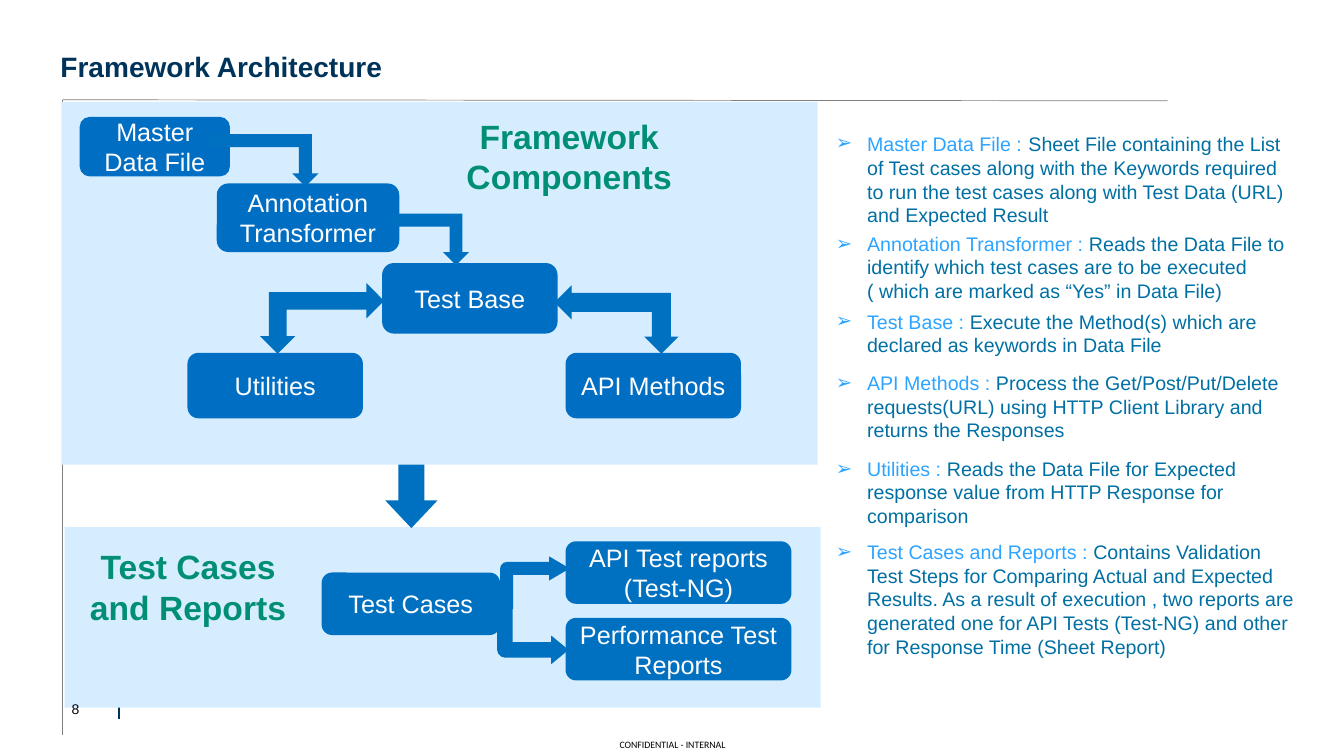
from lxml import etree
from pptx import Presentation
from pptx.dml.color import RGBColor
from pptx.enum.shapes import MSO_CONNECTOR, MSO_SHAPE
from pptx.enum.text import MSO_ANCHOR, MSO_AUTO_SIZE, PP_ALIGN
from pptx.oxml.ns import qn
from pptx.util import Inches, Pt

RECT, ROUNDED = MSO_SHAPE.RECTANGLE, MSO_SHAPE.ROUNDED_RECTANGLE
BENT_UP, LEFT_UP = MSO_SHAPE.BENT_UP_ARROW, MSO_SHAPE.LEFT_UP_ARROW
BENT, DOWN = MSO_SHAPE.BENT_ARROW, MSO_SHAPE.DOWN_ARROW
STRAIGHT = MSO_CONNECTOR.STRAIGHT
LEFT, CENTER = PP_ALIGN.LEFT, PP_ALIGN.CENTER
TOP, MIDDLE, BOTTOM = MSO_ANCHOR.TOP, MSO_ANCHOR.MIDDLE, MSO_ANCHOR.BOTTOM
GROW, FIXED = MSO_AUTO_SIZE.SHAPE_TO_FIT_TEXT, MSO_AUTO_SIZE.NONE

NAVY, GREY, WHITE, GREEN = "00335A", "808080", "FFFFFF", "008F75"
PANEL, BOX, ARROW = "D5EDFF", "006EC3", "0070C0"
TERM, MEANING = "2DA4FF", "0070A4"

# Content: boxes are (left, top, width, height) in inches
TITLE = "Framework Architecture"
RULES = [  # from, to, colour, points
    ((1.18, 6.97), (1.18, 7.13), NAVY, 1),
    ((0.62, 0.99), (0.62, 7.29), GREY, 0.5),
    ((11.58, 1), (0.62, 0.99), GREY, 0.5),
]
PANELS = [(0.64, 5.23, 7.5, 1.79), (0.61, 1.01, 7.5, 3.6)]
HEADINGS = [
    ("Framework Components", (3.85, 1.1, 3.59, 0.91)),
    ("Test Cases and Reports", (0.71, 5.37, 2.31, 0.91)),
]
COMPONENT_W, REPORT_X, REPORT_W, CASE_H = 1.74, 5.61, 2.24, 0.62
COMPONENTS = [
    ("Test Base", (3.79, 2.61, COMPONENT_W, 0.7), BOX),
    ("Master Data File", (0.79, 1.16, 1.49, 0.59), BOX),
    ("Annotation Transformer", (2.15, 1.82, 1.81, 0.68), BOX),
    ("API Methods", (REPORT_X, 3.5, COMPONENT_W, 0.65), BOX),
    ("Utilities", (1.86, 3.5, COMPONENT_W, 0.65), BOX),
    ("Test Cases", (3.19, 5.68, 1.77, CASE_H), ARROW),
    ("API Test reports (Test-NG)", (REPORT_X, 5.37, REPORT_W, CASE_H), ARROW),
    ("Performance Test Reports", (REPORT_X, 6.13, REPORT_W, CASE_H), ARROW),
]
ARROWS = [  # preset, box, flips, adjustments
    (BENT_UP, (3.89, 2.12, 0.76, 0.51), "V", ()),
    (BENT_UP, (2.06, 1.33, 1.1, 0.52), "V", ()),
    (LEFT_UP, (5.5, 2.83, 1.23, 0.68), "V", (0.28, 0.25, 0.25)),
    (LEFT_UP, (2.58, 2.81, 1.23, 0.7), "HV", ()),
    (DOWN, (3.82, 4.61, 0.52, 0.63), "", (0.5, 0.53)),
    (BENT, (4.93, 5.97, 0.71, 0.62), "V", (0.25, 0.23, 0.28, 0.13)),
    (BENT, (4.96, 5.52, 0.69, 0.52), "", (0.25, 0.23, 0.39, 0.13)),
]
NOTES_X, BULLET_INDENT = 8.29, 0.31
DESCRIPTIONS = [  # top, width, height, term, gap size, meaning
    (1.28, 4.52, 1.01, "Master Data File :", 16,
     "Sheet File containing the List of Test cases along with the Keywords "
     "required to run the test cases along with Test Data (URL) and Expected Result"),
    (2.3, 4.61, 0.71, "Annotation Transformer :", 14,
     "Reads the Data File to identify which test cases are to be executed "
     "( which are marked as “Yes” in Data File)"),
    (3.07, 4.54, 0.47, "Test Base :", 14,
     "Execute the Method(s) which are declared as keywords in Data File"),
    (3.68, 4.54, 0.71, "API Methods :", 14,
     "Process the Get/Post/Put/Delete requests(URL) using HTTP Client Library "
     "and returns the Responses"),
    (4.53, 4.21, 0.71, "Utilities :", 14,
     "Reads the Data File for Expected response value from HTTP Response for comparison"),
    (5.36, 4.61, 1.18, "Test Cases and Reports :", 14,
     "Contains Validation Test Steps for Comparing Actual and Expected Results. "
     "As a result of execution , two reports are generated one for API Tests "
     "(Test-NG) and other for Response Time (Sheet Report)"),
]

prs = Presentation()
prs.slide_width, prs.slide_height = Inches(13.33), Inches(7.5)
slide = prs.slides.add_slide(prs.slide_layouts[5])


def rgb(color):
    return RGBColor.from_string(color)


def inches(values):
    return [Inches(value) for value in values]


def write(shape, runs, align=LEFT, anchor=TOP, inset=True, size_rule=FIXED):
    """Fill a shape with one paragraph of (text, size, colour, bold, font) runs."""
    frame = shape.text_frame
    frame.word_wrap, frame.auto_size, frame.vertical_anchor = True, size_rule, anchor
    if not inset:
        frame.margin_left = frame.margin_right = frame.margin_top = frame.margin_bottom = 0
    paragraph = frame.paragraphs[0]
    paragraph.alignment = align
    for text, size, color, bold, font in runs:
        run = paragraph.add_run()
        run.text = text
        run.font.size, run.font.bold, run.font.name = Pt(size), bold, font
        run.font.color.rgb = rgb(color)
    return paragraph


def add_block(preset, box, fill):
    block = slide.shapes.add_shape(preset, *inches(box))
    block.shadow.inherit = False
    block.fill.solid()
    block.fill.fore_color.rgb = rgb(fill)
    block.line.fill.background()
    return block


def add_text(box, *args, **kwargs):
    return write(slide.shapes.add_textbox(*inches(box)), *args, **kwargs)


def outline_text(run, color, points):
    line = etree.Element(qn("a:ln"), w=str(Pt(points)))
    fill = etree.SubElement(line, qn("a:solidFill"))
    etree.SubElement(fill, qn("a:srgbClr"), val=color)
    run._r.get_or_add_rPr().insert(0, line)


def add_bullet(paragraph):
    props = paragraph._p.get_or_add_pPr()
    props.set("marL", str(Inches(BULLET_INDENT)))
    props.set("indent", str(-Inches(BULLET_INDENT)))
    etree.SubElement(props, qn("a:buFont"), typeface="Arial")
    etree.SubElement(props, qn("a:buChar"), char="➢")


# Frame lines, footer and page number
for start, end, color, points in RULES:
    rule = slide.shapes.add_connector(STRAIGHT, *inches(start + end))
    rule.line.color.rgb, rule.line.width = rgb(color), Pt(points)
    etree.SubElement(rule._element.spPr, qn("a:effectLst"))
add_text((6.01, 7.27, 1.32, 0.23),
         [("CONFIDENTIAL - INTERNAL", 7, "000000", False, "Calibri")],
         CENTER, MIDDLE, inset=False, size_rule=GROW)

# Panels
for box in PANELS:
    add_block(RECT, box, PANEL)
add_text((0.71, 6.86, 0.42, 0.34), [("8", 10, "03040A", False, "Arial")],
         anchor=MIDDLE, inset=False)

# Title
title = slide.shapes.title
title.left, title.top, title.width, title.height = inches((0.6, 0.12, 10.97, 0.7))
write(title, [(TITLE, 20, NAVY, True, "Arial")], anchor=BOTTOM, inset=False)

# Components and the arrows between them
for label, box, fill in COMPONENTS:
    write(add_block(ROUNDED, box, fill), [(label, 18, WHITE, False, "Arial")],
          CENTER, MIDDLE)
for preset, box, flips, adjustments in ARROWS:
    arrow = add_block(preset, box, ARROW)
    for index, value in enumerate(adjustments):
        arrow.adjustments[index] = value
    for axis in flips:
        arrow._element.spPr.get_or_add_xfrm().set("flip" + axis, "1")

# Panel headings
for heading, box in HEADINGS:
    paragraph = add_text(box, [(heading, 24, GREEN, True, "Arial")], CENTER, size_rule=GROW)
    outline_text(paragraph.runs[0], WHITE, 0.75)

# Descriptions
for top, width, height, term, gap_size, meaning in DESCRIPTIONS:
    add_bullet(add_text(
        (NOTES_X, top, width, height),
        [(term, 14, TERM, False, "Arial"), (" ", gap_size, TERM, False, "Arial"),
         (meaning, 14, MEANING, False, "Arial")],
        inset=False, size_rule=GROW))

prs.save("out.pptx")
